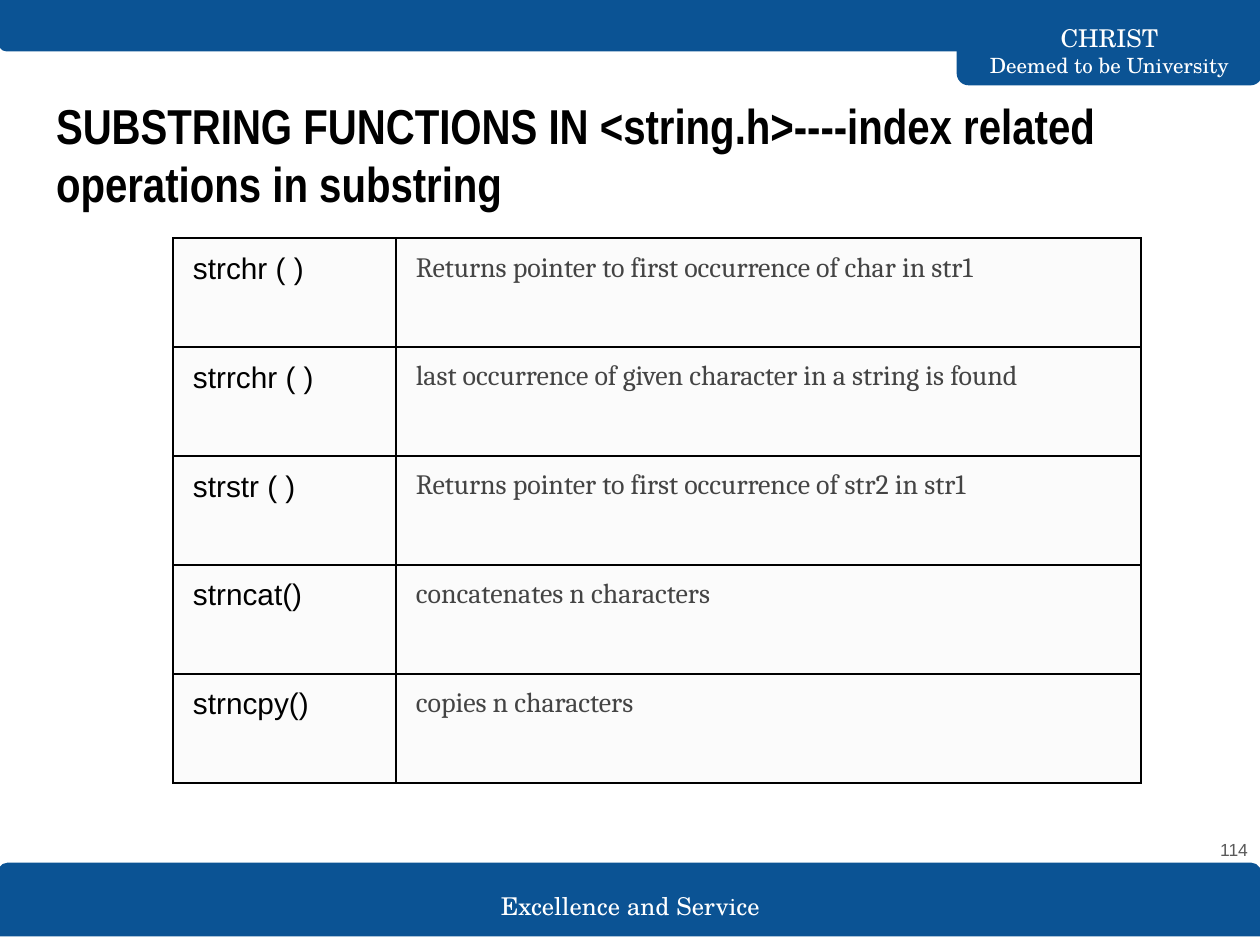
from dataclasses import dataclass

from lxml.etree import SubElement
from pptx import Presentation
from pptx.dml.color import RGBColor
from pptx.enum.shapes import MSO_SHAPE
from pptx.enum.text import MSO_ANCHOR, MSO_AUTO_SIZE, PP_ALIGN
from pptx.oxml.ns import qn
from pptx.util import Pt

# Content
TITLE = "SUBSTRING FUNCTIONS IN <string.h>----index related operations in substring"
UNIVERSITY = ("CHRIST", "Deemed to be University")
MOTTO = "Excellence and Service"
PAGE = "114"
FUNCTIONS = [
    ("strchr ( )", "Returns pointer to first occurrence of char in str1"),
    ("strrchr ( )", "last occurrence of given character in a string is found"),
    ("strstr ( )", "Returns pointer to first occurrence of str2 in str1"),
    ("strncat()", "concatenates n characters"),
    ("strncpy()", "copies n characters"),
]


@dataclass(frozen=True)
class Theme:
    blue: str = "0B5394"
    white: str = "FFFFFF"
    black: str = "000000"
    cell: str = "FBFBFB"
    # Each style: font, size, colour, bold
    title: tuple = ("Arial Narrow", 28, "000000", True)
    brand: tuple = ("TeX Gyre Schola", 14, "FFFFFF", False)
    page: tuple = ("Arial", 10, "595959", False)
    name: tuple = ("Arial", 17, "000000", False)
    meaning: tuple = ("Cambria", 16, "444444", False)
    subbrand_size: int = 12


THEME = Theme()

# Layout in px, 126 to the inch
WIDTH, HEIGHT = 1260, 945
BANDS = [  # left, top, width, height, rotation
    (-1, 864, 1261, 71, 0),
    (958, 0, 303, 84, 180),
    (0, 0, 1261, 50, 180),
]
MOTTO_BOX = (461, 886, 339, 40)
BRAND_BOX = (958, 34, 303, 32)
TITLE_BOX = (43, 82, 1174, 105)
PAGE_BOX = (1186, 814, 75, 72)
TABLE_LEFT, TABLE_TOP = 173, 238
COLUMNS, ROW_HEIGHT = (223, 745), 109
INSET, CELL_INSETS = 13, (20, 9)


def px(value):
    return round(value * 914400 / 126)


def box(*sides):
    return [px(side) for side in sides]


def style(font, look):
    font.name, size, colour, font.bold = look
    font.size = Pt(size)
    font.color.rgb = RGBColor.from_string(colour)


def set_frame(frame, anchor):
    frame.word_wrap = True
    frame.auto_size = MSO_AUTO_SIZE.NONE
    frame.vertical_anchor = anchor
    frame.margin_left = frame.margin_right = px(INSET)
    frame.margin_top = frame.margin_bottom = px(INSET)


def add_label(slide, place, text, look, align):
    frame = slide.shapes.add_textbox(*box(*place)).text_frame
    set_frame(frame, MSO_ANCHOR.MIDDLE)
    line = frame.paragraphs[0]
    line.text, line.alignment = text, align
    style(line.font, look)
    return line


def add_band(slide, left, top, width, height, rotation):
    band = slide.shapes.add_shape(MSO_SHAPE.ROUND_2_SAME_RECTANGLE,
                                  *box(left, top, width, height))
    band.adjustments[0], band.adjustments[1] = 0.125, 0
    band.rotation = rotation
    band.shadow.inherit = False
    band.fill.solid()
    band.fill.fore_color.rgb = RGBColor.from_string(THEME.blue)
    band.line.color.rgb = RGBColor.from_string(THEME.blue)
    band.line.width = Pt(1.5)


def fill_cell(cell, text, look):
    cell.margin_left = cell.margin_right = px(CELL_INSETS[0])
    cell.margin_top = cell.margin_bottom = px(CELL_INSETS[1])
    line = cell.text_frame.paragraphs[0]
    line.text, line.line_spacing = text, 1.15
    style(line.font, look)
    # Borders come before the fill in the cell properties
    props = cell._tc.get_or_add_tcPr()
    for side in ("a:lnL", "a:lnR", "a:lnT", "a:lnB"):
        border = SubElement(props, qn(side), w=str(Pt(1)))
        paint = SubElement(border, qn("a:solidFill"))
        SubElement(paint, qn("a:srgbClr"), val=THEME.black)
    cell.fill.solid()
    cell.fill.fore_color.rgb = RGBColor.from_string(THEME.cell)


def add_functions(slide):
    place = box(TABLE_LEFT, TABLE_TOP, sum(COLUMNS), ROW_HEIGHT * len(FUNCTIONS))
    table = slide.shapes.add_table(len(FUNCTIONS), len(COLUMNS), *place).table
    table.first_row = table.horz_banding = False
    for column, width in zip(table.columns, COLUMNS):
        column.width = px(width)
    for row, texts in zip(table.rows, FUNCTIONS):
        row.height = px(ROW_HEIGHT)
        for cell, text, look in zip(row.cells, texts, (THEME.name, THEME.meaning)):
            fill_cell(cell, text, look)


def main():
    deck = Presentation()
    deck.slide_width, deck.slide_height = box(WIDTH, HEIGHT)
    slide = deck.slides.add_slide(deck.slide_layouts[5])

    # Header and footer
    for band in BANDS:
        add_band(slide, *band)
    add_label(slide, MOTTO_BOX, MOTTO, THEME.brand, PP_ALIGN.CENTER)
    brand = add_label(slide, BRAND_BOX, UNIVERSITY[0], THEME.brand, PP_ALIGN.CENTER)
    brand.add_line_break()
    status = brand.add_run()
    status.text = UNIVERSITY[1]
    status.font.size = Pt(THEME.subbrand_size)

    # Title
    title = slide.shapes.title
    title.left, title.top, title.width, title.height = box(*TITLE_BOX)
    set_frame(title.text_frame, MSO_ANCHOR.TOP)
    heading = title.text_frame.paragraphs[0]
    heading.text, heading.alignment = TITLE, PP_ALIGN.LEFT
    style(heading.font, THEME.title)

    # Page number and table
    add_label(slide, PAGE_BOX, PAGE, THEME.page, PP_ALIGN.RIGHT)
    add_functions(slide)
    deck.save("out.pptx")


if __name__ == "__main__":
    main()
